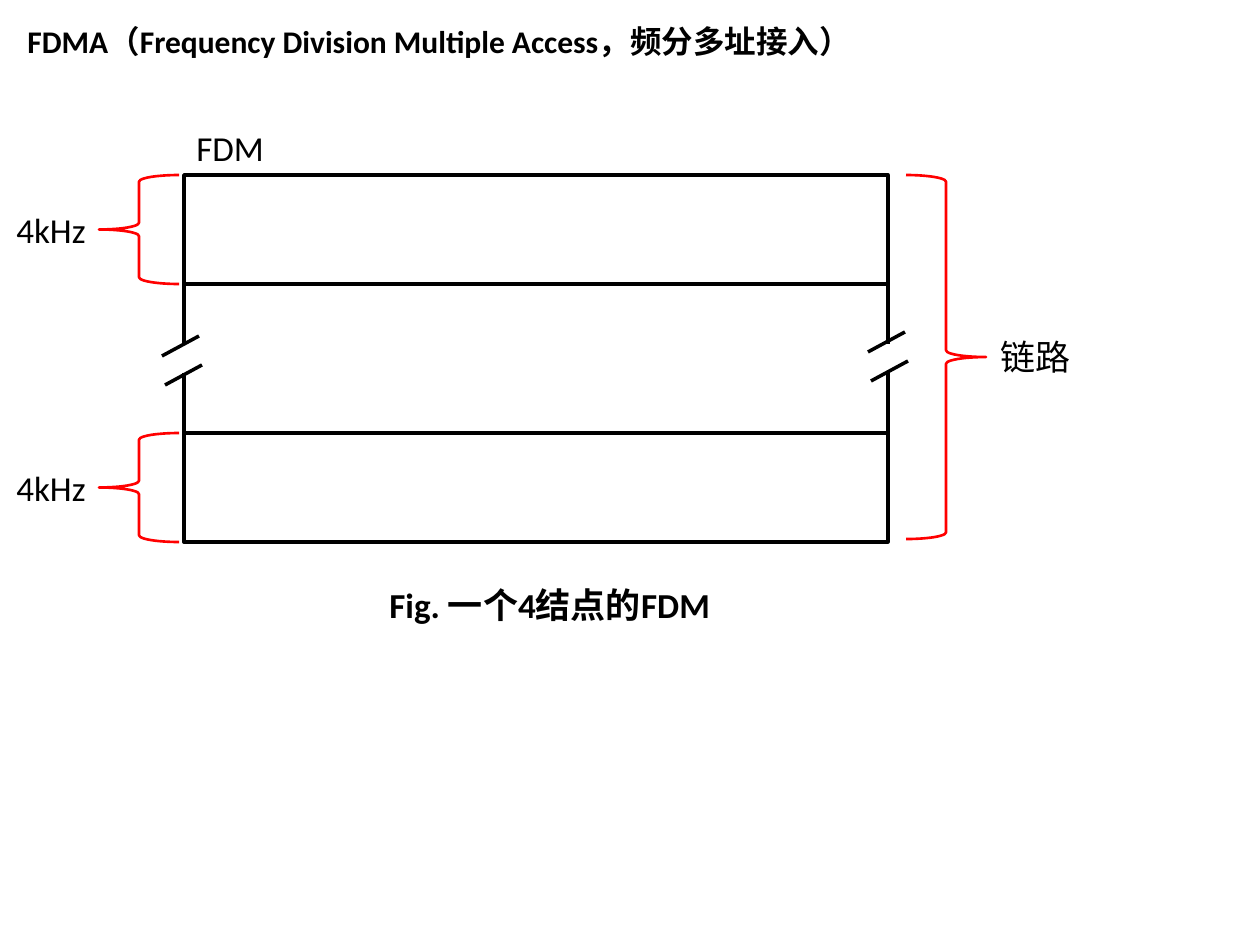
from dataclasses import dataclass

from lxml import etree
from pptx import Presentation, util as u
from pptx.dml.color import RGBColor
from pptx.enum import shapes, text
from pptx.oxml.ns import qn

EMU_PER_PIXEL = 914400 / 126
BLACK = "000000"
RED = "FF0000"
FONT = "Calibri"


@dataclass(frozen=True)
class Box:
    left: int
    top: int
    width: int
    height: int


@dataclass(frozen=True)
class Stroke:
    x1: int
    y1: int
    x2: int
    y2: int


def px(pixels: int) -> int:
    return round(pixels * EMU_PER_PIXEL)


def colour(value: str) -> RGBColor:
    return RGBColor.from_string(value)


def add_text(slide, content: str, box: Box, *, size: int = 20, bold: bool = False,
             ink: str = BLACK) -> None:
    label = slide.shapes.add_textbox(px(box.left), px(box.top), px(box.width), px(box.height))
    frame = label.text_frame
    frame.word_wrap = True
    frame.auto_size = text.MSO_AUTO_SIZE.SHAPE_TO_FIT_TEXT
    run = frame.paragraphs[0].add_run()
    run.text = content
    run.font.name = FONT
    run.font.size = u.Pt(size)
    run.font.bold = bold
    run.font.color.rgb = colour(ink)


def add_outline(slide, kind: shapes.MSO_SHAPE, box: Box, ink: str, weight: float,
                rotation: int = 0) -> None:
    outline = slide.shapes.add_shape(kind, px(box.left), px(box.top), px(box.width), px(box.height))
    outline.shadow.inherit = False
    outline.fill.background()
    outline.line.color.rgb = colour(ink)
    outline.line.width = u.Pt(weight)
    outline.rotation = rotation


def add_stroke(slide, stroke: Stroke) -> None:
    line = slide.shapes.add_connector(shapes.MSO_CONNECTOR.STRAIGHT, px(stroke.x1), px(stroke.y1),
                                      px(stroke.x2), px(stroke.y2))
    line.line.color.rgb = colour(BLACK)
    line.line.width = u.Pt(2)
    etree.SubElement(line._element.spPr, qn("a:effectLst"))


BAND = Box(184, 175, 704, 109)
BAND_TOPS = (BAND.top, 433)
BRACE_LEFT, BRACE_WIDTH = 99, 80
EDGE_SPANS = ((284, 344), (373, 433))
SLASHES = (Stroke(199, 336, 162, 356), Stroke(202, 365, 165, 385))
RIGHT_SLASH_SHIFT = (706, -4)

presentation = Presentation()
presentation.slide_width = px(1260)
presentation.slide_height = px(945)
slide = presentation.slides.add_slide(presentation.slide_layouts[6])

add_text(slide, "FDMA（Frequency Division Multiple Access，频分多址接入）",
         Box(15, 16, 1181, 50), size=18, bold=True)
add_text(slide, "FDM", Box(184, 120, 98, 55))
add_text(slide, "链路", Box(988, 329, 98, 55))
add_text(slide, "Fig. 一个4结点的FDM", Box(377, 577, 466, 55), bold=True)

for top in BAND_TOPS:
    add_outline(slide, shapes.MSO_SHAPE.RECTANGLE,
                Box(BAND.left, top, BAND.width, BAND.height), BLACK, 2)
    add_outline(slide, shapes.MSO_SHAPE.LEFT_BRACE,
                Box(BRACE_LEFT, top, BRACE_WIDTH, BAND.height), RED, 1.5)
    add_text(slide, "4kHz", Box(4, top + 27, 98, 55))

add_outline(slide, shapes.MSO_SHAPE.LEFT_BRACE,
            Box(906, BAND.top, BRACE_WIDTH, 364), RED, 1.5, rotation=180)

for edge in (BAND.left, BAND.left + BAND.width):
    for start, end in EDGE_SPANS:
        add_stroke(slide, Stroke(edge, start, edge, end))

for dx, dy in ((0, 0), RIGHT_SLASH_SHIFT):
    for slash in SLASHES:
        add_stroke(slide, Stroke(slash.x1 + dx, slash.y1 + dy, slash.x2 + dx, slash.y2 + dy))

presentation.save("out.pptx")
